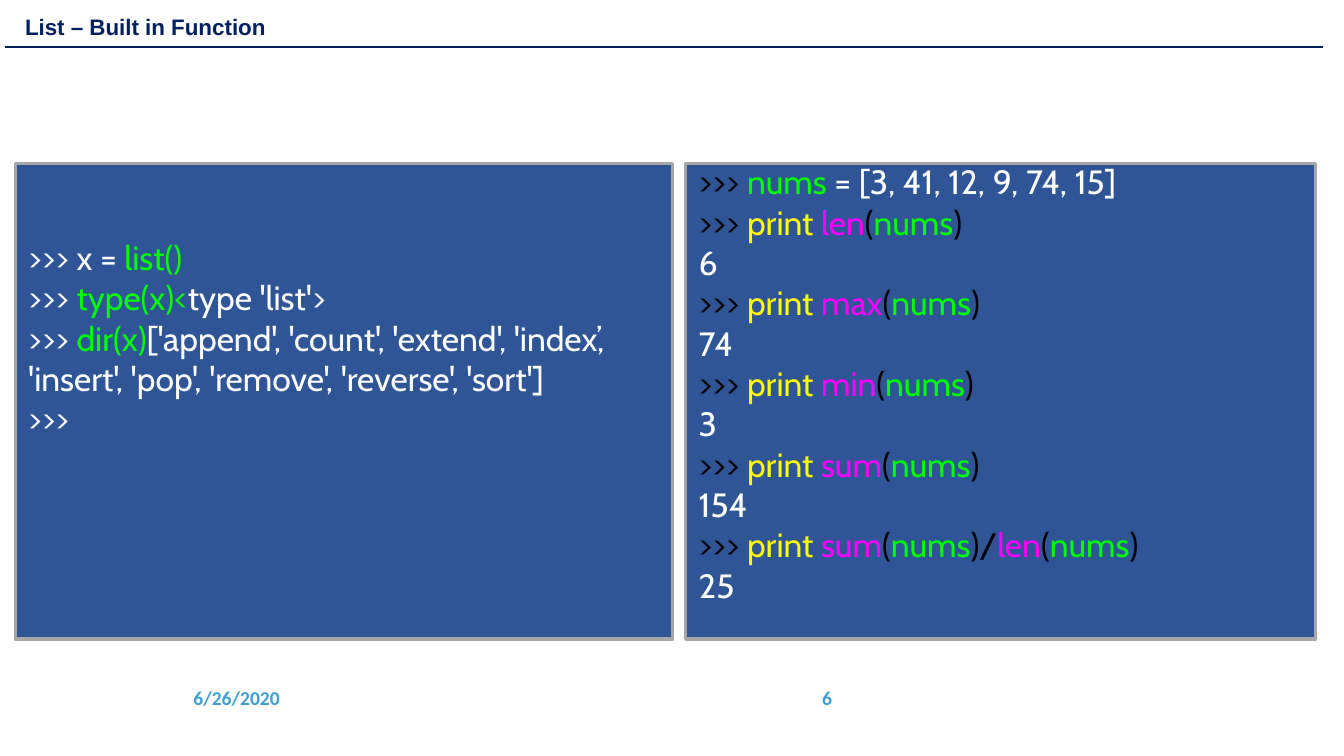
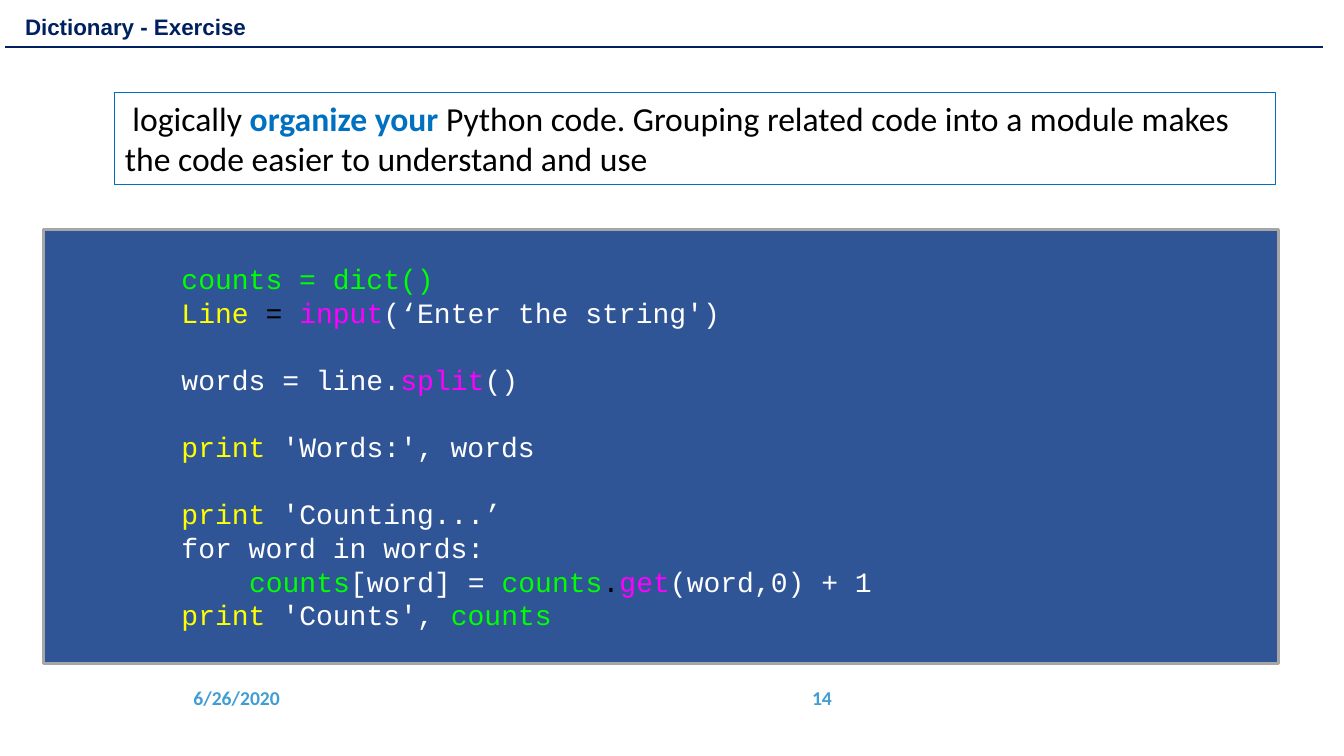
from dataclasses import dataclass

from lxml.etree import SubElement
from pptx import Presentation
from pptx.dml.color import RGBColor
from pptx.enum.shapes import MSO_CONNECTOR, MSO_SHAPE
from pptx.enum.text import MSO_ANCHOR as Anchor, PP_ALIGN as Align
from pptx.oxml.ns import qn
from pptx.util import Inches, Pt


@dataclass(frozen=True)
class Theme:
    navy: str = "002060"
    panel: str = "2F5597"
    panel_edge: str = "A6A6A6"
    accent: str = "0070C0"
    footer: str = "409ED2"
    white: str = "FFFFFF"
    black: str = "000000"
    green: str = "00FF00"
    yellow: str = "FFFF00"
    pink: str = "FF00FF"
    title_font: str = "Arial"
    body_font: str = "Calibri"
    session_font: str = "Cabin"
    script_font: str = "Courier New"
    title_size: int = 16
    footer_size: int = 14
    body_size: int = 24
    script_size: int = 20
    code_leading: float = 1.2


T = Theme()
W, K, G, Y, P = T.white, T.black, T.green, T.yellow, T.pink


@dataclass(frozen=True)
class Box:
    left: float
    top: float
    width: float
    height: float

    def inches(self):
        return [Inches(v) for v in (self.left, self.top, self.width, self.height)]

    def inside(self, dx, dy, width, height):
        """Box of the given size, offset from this box's corner."""
        return Box(self.left + dx, self.top + dy, width, height)


@dataclass(frozen=True)
class Line:
    """One paragraph: (text, colour) runs, points before it, inches of indent."""
    runs: tuple
    gap: float = 0
    indent: float = 0


def line(*runs, **layout):
    return Line(runs, **layout)


def write(frame, lines, *, font, size, bold=False, bold_colors=(), align=Align.LEFT,
          anchor=Anchor.TOP, spacing=None, margins=(0.1, 0.05)):
    frame.word_wrap = True
    frame.vertical_anchor = anchor
    frame.margin_left = frame.margin_right = Inches(margins[0])
    frame.margin_top = frame.margin_bottom = Inches(margins[1])
    for number, content in enumerate(lines):
        paragraph = frame.add_paragraph() if number else frame.paragraphs[0]
        paragraph.alignment = align
        if spacing:
            paragraph.line_spacing = spacing
        if content.gap:
            paragraph.space_before = Pt(content.gap)
        if content.indent:
            paragraph._p.get_or_add_pPr().set("marL", str(Inches(content.indent)))
        for text, color in content.runs:
            run = paragraph.add_run()
            run.text = text
            run.font.name = font
            run.font.size = Pt(size)
            run.font.bold = bold or color in bold_colors
            run.font.color.rgb = RGBColor.from_string(color)


def rectangle(slide, box, fill=None, edge=None, weight=0):
    shape = slide.shapes.add_shape(MSO_SHAPE.RECTANGLE, *box.inches())
    shape.shadow.inherit = False
    if fill:
        shape.fill.solid()
        shape.fill.fore_color.rgb = RGBColor.from_string(fill)
    else:
        shape.fill.background()
    if edge:
        shape.line.color.rgb = RGBColor.from_string(edge)
        shape.line.width = Pt(weight)
    else:
        shape.line.fill.background()
    return shape


def text_box(slide, box, lines, **style):
    write(slide.shapes.add_textbox(*box.inches()).text_frame, lines, **style)


def header(slide, box, title):
    """Title band with the rule below it, spanning the given box."""
    band = rectangle(slide, box.inside(0.1, 0, 9.04, 0.35), fill=T.white)
    write(band.text_frame, [line((title, T.navy))], font=T.title_font,
          size=T.title_size, bold=True, anchor=Anchor.BOTTOM, spacing=0.9)
    bottom = Inches(box.top + box.height)
    rule = slide.shapes.add_connector(MSO_CONNECTOR.STRAIGHT, Inches(box.left), bottom,
                                      Inches(box.left + box.width), bottom)
    rule.line.color.rgb = RGBColor.from_string(T.navy)
    rule.line.width = Pt(1.5)
    SubElement(rule._element.spPr, qn("a:effectLst"))


def footer(slide, box, date, number):
    """Date at the left end of the box, page number at its right end."""
    number_width = 3.03
    parts = ((date, 0, 1.38, Align.LEFT),
             (number, box.width - number_width, number_width, Align.RIGHT))
    for text, dx, width, align in parts:
        text_box(slide, box.inside(dx, 0, width, box.height), [line((text, T.footer))],
                 font=T.body_font, size=T.footer_size, bold=True, align=align,
                 anchor=Anchor.MIDDLE)


def base_slide(deck, title, number):
    slide = deck.slides.add_slide(deck.slide_layouts[6])
    header(slide, Box(0.05, 0.1, 13.07, 0.37), title)
    footer(slide, Box(1.82, 6.72, 6.53, 0.4), "6/26/2020", number)
    return slide


def code_panel(slide, box, code_area, code, font, size):
    """Blue panel; code_area is the code's offset and size within it."""
    rectangle(slide, box, fill=T.panel, edge=T.panel_edge, weight=2.25)
    text_box(slide, box.inside(*code_area), code, font=font, size=size,
             anchor=Anchor.MIDDLE, spacing=Pt(size * T.code_leading), margins=(0, 0))


def note(slide, box, content):
    frame = rectangle(slide, box, edge=T.accent, weight=0.75).text_frame
    write(frame, [content], font=T.body_font, size=T.body_size, bold_colors=(T.accent,))


def printed(function, result):
    """Session lines that print function(nums), and the result."""
    return [line((">>> ", K), ("print ", Y), (function, P), ("(", K), ("nums", G), (")", K)),
            line((result, W))]


def list_slide(deck):
    slide = base_slide(deck, "List – Built in Function", "6")
    methods = [
        line((">>> x = ", W), ("list()", G)),
        line((">>> ", W), ("type(x)<", G), ("type 'list'>", W)),
        line((">>> ", W), ("dir(x)", G), ("['append', 'count', 'extend', 'index’,", W)),
        line(("'insert', 'pop', 'remove', 'reverse', 'sort']", W)),
        line((">>>", W)),
    ]
    totals = [line((">>> ", K), ("nums ", G), ("= [3, 41, 12, 9, 74, 15]", W))]
    for function, result in (("len", "6"), ("max", "74"), ("min", "3"), ("sum", "154")):
        totals += printed(function, result)
    totals += [
        line((">>> ", K), ("print ", Y), ("sum", P), ("(", K), ("nums", G), (")/", K),
             ("len", P), ("(", K), ("nums", G), (")", K)),
        line(("25", W)),
    ]
    panels = ((Box(0.15, 1.62, 6.52, 4.72), (0.13, 0.72, 6.12, 2.02), methods),
              (Box(6.8, 1.62, 6.25, 4.72), (0.13, -0.04, 6.12, 4.44), totals))
    for box, code_area, code in panels:
        code_panel(slide, box, code_area, code, T.session_font, T.body_size)


def dictionary_slide(deck):
    slide = base_slide(deck, "Dictionary - Exercise", "14")
    note(slide, Box(1.14, 0.92, 11.51, 0.91), line(
        (" logically ", K), ("organize your ", T.accent),
        ("Python code. Grouping related code into a module makes "
         "the code easier to understand and use", K)))
    blank = T.script_size * T.code_leading
    word_count = [
        line(("counts = dict()", G)),
        line(("Line ", Y), ("= ", K), ("input", P), ("(‘Enter the string')", W)),
        line(("words = line.", W), ("split", P), ("()", W), gap=blank),
        line(("print ", Y), ("'Words:', words", W), gap=blank),
        line(("print ", Y), ("'Counting...’", W), gap=blank),
        line(("for word in words:", W)),
        line(("counts", G), ("[word] = ", W), ("counts", G), (".", K), ("get", P),
             ("(word,0) + 1", W), indent=0.67),
        line(("print ", Y), ("'Counts', ", W), ("counts", G)),
    ]
    code_panel(slide, Box(0.43, 2.28, 12.25, 4.3), (1.37, 0.3, 6.9, 3.7), word_count,
               T.script_font, T.script_size)


def main():
    deck = Presentation()
    deck.slide_width, deck.slide_height = Inches(13.33), Inches(7.5)
    list_slide(deck)
    dictionary_slide(deck)
    deck.save("out.pptx")


if __name__ == "__main__":
    main()
